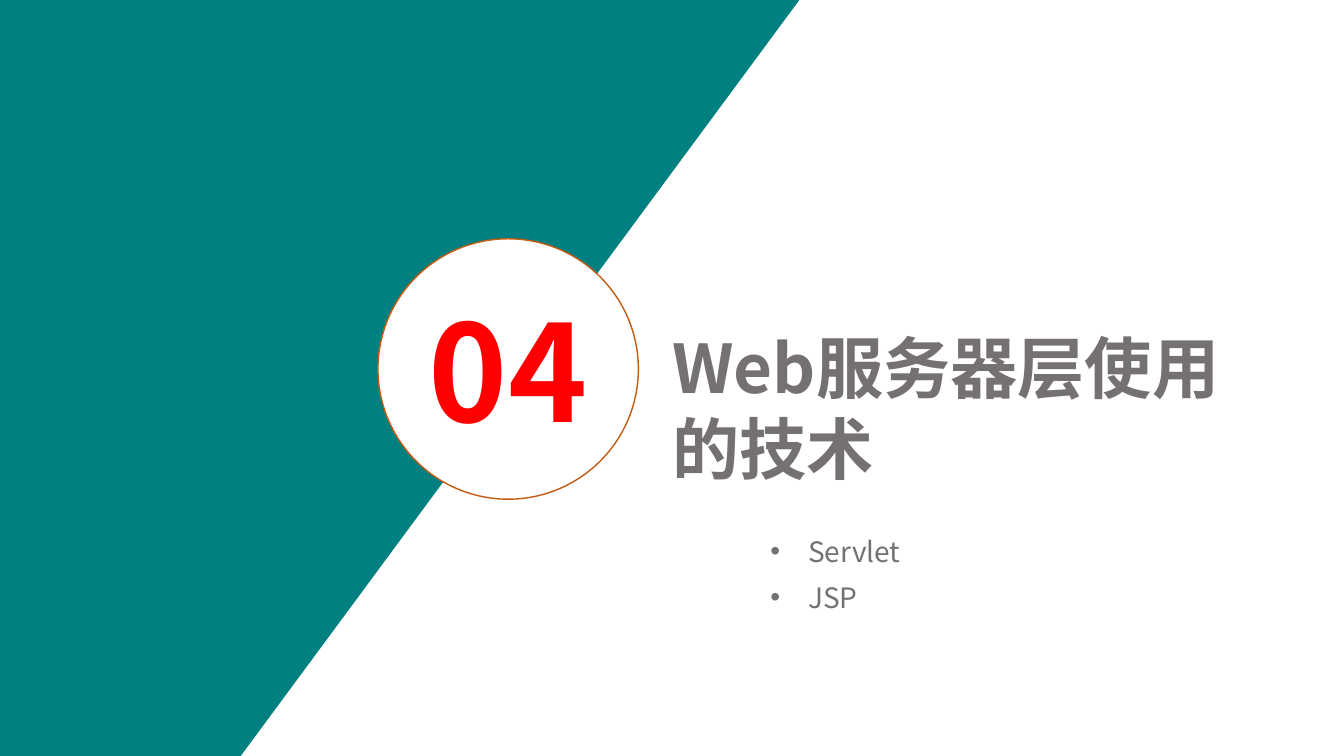
from dataclasses import dataclass

from lxml import etree
from pptx import Presentation
from pptx.dml.color import RGBColor
from pptx.enum import shapes, text
from pptx.oxml import ns
from pptx.util import Pt

FONT = "Noto Sans CJK SC"
TEAL, WHITE, ORANGE, RED, GRAY = "008080", "FFFFFF", "C55A11", "FF0000", "767171"
SLIDE_WIDTH, SLIDE_HEIGHT = 960, 540
PANEL_TOP_EDGE, PANEL_BOTTOM_EDGE = 571, 171.5
BULLET_INDENT = 27


@dataclass(frozen=True)
class Box:
    left: float
    top: float
    width: float
    height: float


@dataclass(frozen=True)
class TextStyle:
    size: float
    color: str
    bold: bool = False


NUMBER_BOX = Box(270, 170.6, 186, 186)
TITLE_BOX = Box(473, 229.7, 433, 126.7)
TOPICS_BOX = Box(543, 378, 292, 66)
NUMBER_STYLE = TextStyle(96, RED, True)
TITLE_STYLE = TextStyle(48, GRAY, True)
TOPIC_STYLE = TextStyle(20, GRAY)


def paint(color_format, color: str) -> None:
    color_format.rgb = RGBColor.from_string(color)


def fill_shape(shape, color: str) -> None:
    shape.shadow.inherit = False
    shape.fill.solid()
    paint(shape.fill.fore_color, color)


def place(shape, box: Box) -> None:
    shape.left, shape.top = Pt(box.left), Pt(box.top)
    shape.width, shape.height = Pt(box.width), Pt(box.height)


def write(shape, content: str, style: TextStyle, alignment, anchor) -> None:
    """Set the text of a shape and format all its runs."""
    frame = shape.text_frame
    frame.text = content
    frame.word_wrap = True
    frame.auto_size = text.MSO_AUTO_SIZE.NONE
    frame.vertical_anchor = anchor
    for paragraph in frame.paragraphs:
        paragraph.alignment = alignment
        paragraph.space_before = Pt(0)
        for run in paragraph.runs:
            run.font.name = FONT
            run.font.size = Pt(style.size)
            run.font.bold = style.bold
            paint(run.font.color, style.color)
            east_asian = etree.Element(ns.qn("a:ea"), typeface=FONT)
            run.font._element.find(ns.qn("a:latin")).addnext(east_asian)


def add_panel(slide) -> None:
    builder = slide.shapes.build_freeform(0, 0, scale=Pt(1))
    builder.add_line_segments(
        [(PANEL_TOP_EDGE, 0), (PANEL_BOTTOM_EDGE, SLIDE_HEIGHT), (0, SLIDE_HEIGHT)]
    )
    panel = builder.convert_to_shape()
    fill_shape(panel, TEAL)
    panel.line.fill.background()


def add_number(slide, number: str) -> None:
    circle = slide.shapes.add_shape(shapes.MSO_SHAPE.OVAL, 0, 0, 0, 0)
    place(circle, NUMBER_BOX)
    fill_shape(circle, WHITE)
    paint(circle.line.color, ORANGE)
    circle.line.width = Pt(1)
    write(circle, number, NUMBER_STYLE, text.PP_ALIGN.CENTER, text.MSO_ANCHOR.MIDDLE)
    frame = circle.text_frame
    frame.margin_left = frame.margin_right = frame.margin_top = frame.margin_bottom = 0


def add_topics(placeholder, topics: list[str]) -> None:
    place(placeholder, TOPICS_BOX)
    write(placeholder, "\n".join(topics), TOPIC_STYLE,
          text.PP_ALIGN.LEFT, text.MSO_ANCHOR.TOP)
    for index, paragraph in enumerate(placeholder.text_frame.paragraphs):
        paragraph.space_before = Pt(9 if index else 0)
        properties = paragraph._p.get_or_add_pPr()
        properties.set("marL", str(Pt(BULLET_INDENT)))
        properties.set("indent", str(Pt(-BULLET_INDENT)))
        etree.SubElement(properties, ns.qn("a:buFont"), typeface="Arial")
        etree.SubElement(properties, ns.qn("a:buChar"), char="•")


def main() -> None:
    presentation = Presentation()
    presentation.slide_width, presentation.slide_height = Pt(SLIDE_WIDTH), Pt(SLIDE_HEIGHT)
    slide = presentation.slides.add_slide(presentation.slide_layouts[1])
    add_panel(slide)
    add_number(slide, "04")
    title = slide.shapes.title
    place(title, TITLE_BOX)
    write(title, "Web服务器层使用的技术", TITLE_STYLE,
          text.PP_ALIGN.LEFT, text.MSO_ANCHOR.TOP)
    add_topics(slide.placeholders[1], ["Servlet", "JSP"])
    presentation.save("out.pptx")


if __name__ == "__main__":
    main()
